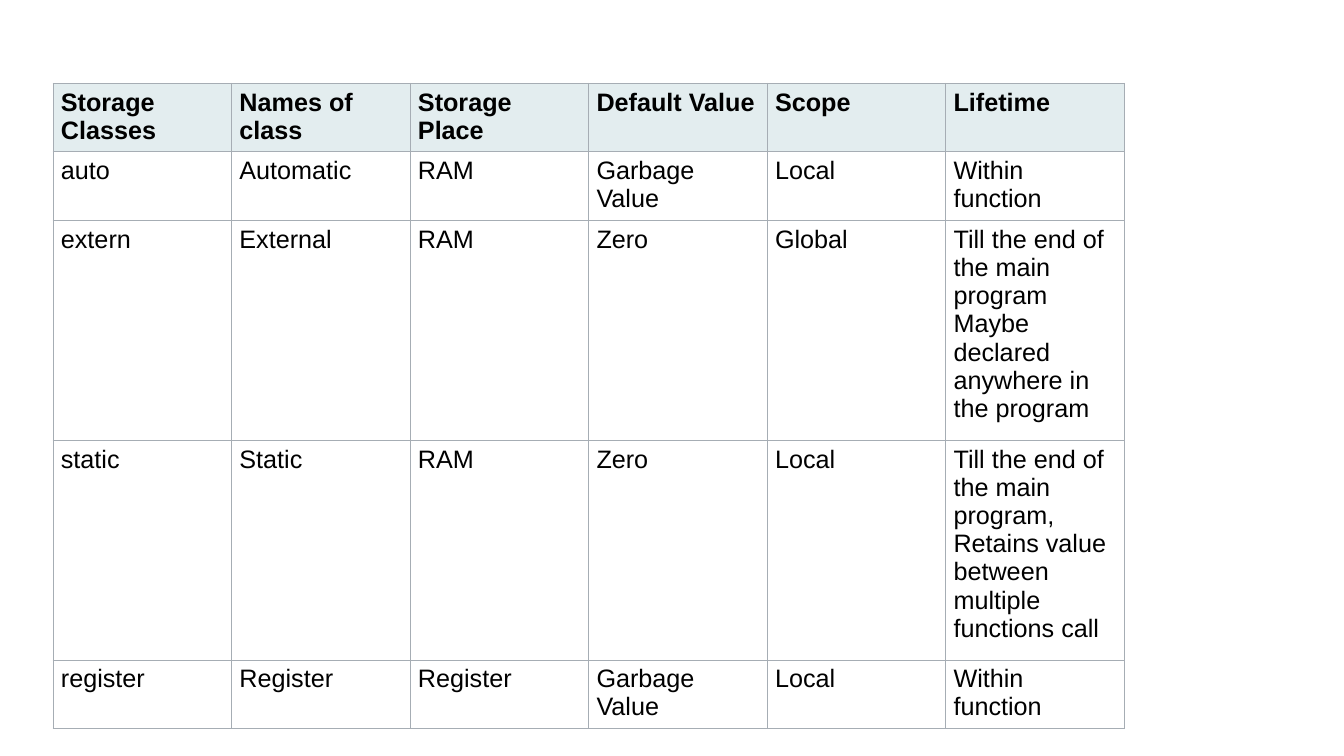
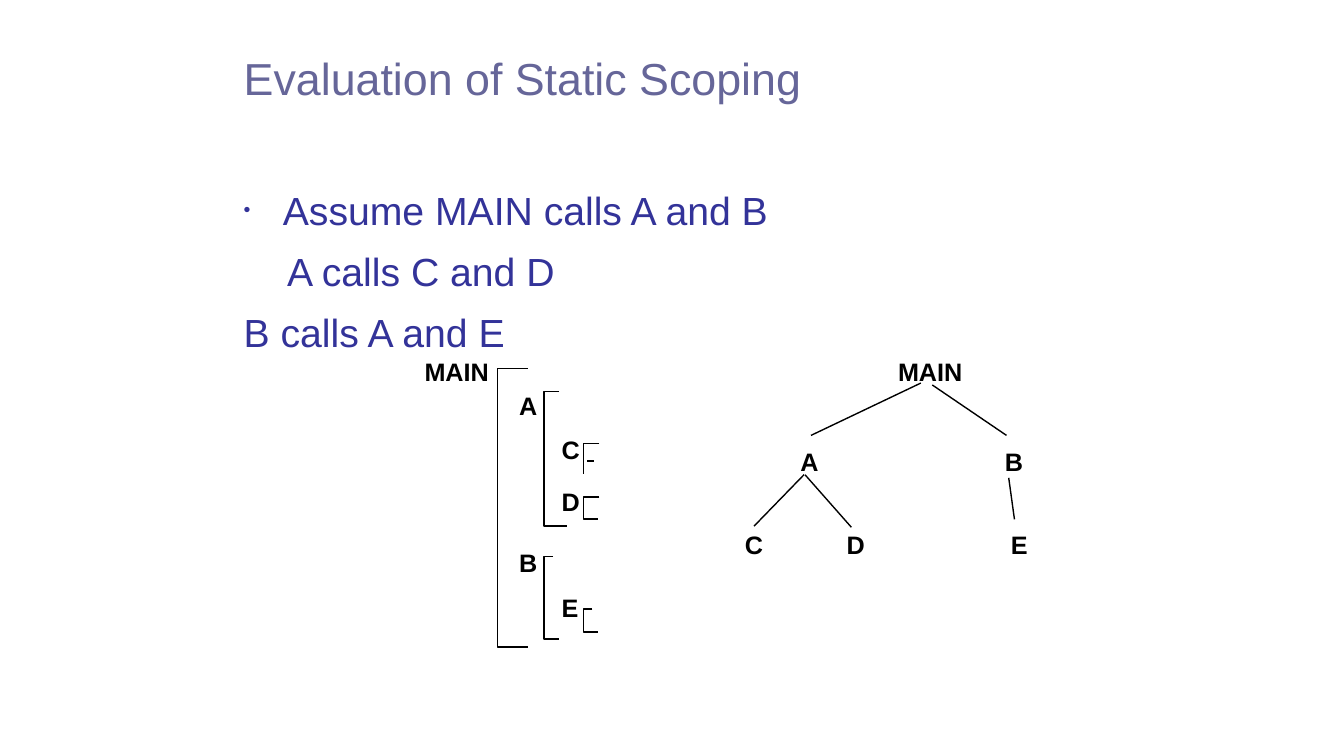
from lxml import etree
from pptx import Presentation
from pptx.dml.color import RGBColor
from pptx.enum.shapes import MSO_CONNECTOR as CONN
from pptx.enum.text import MSO_ANCHOR as ANCHOR, MSO_AUTO_SIZE as AUTO, PP_ALIGN as ALIGN
from pptx.oxml.ns import qn
from pptx.util import Pt

BLACK, WHITE, HEADER, BORDER = "000000", "FFFFFF", "E3EDEF", "A6ADB4"
TITLE_COLOR, BODY_COLOR = "666699", "333399"

STORAGE_ROWS = [
    ["Storage Classes", "Names of class", "Storage Place", "Default Value", "Scope", "Lifetime"],
    ["auto", "Automatic", "RAM", "Garbage Value", "Local", "Within function"],
    ["extern", "External", "RAM", "Zero", "Global",
     "Till the end of the main program Maybe declared anywhere in the program"],
    ["static", "Static", "RAM", "Zero", "Local",
     "Till the end of the main program, Retains value between multiple functions call"],
    ["register", "Register", "Register", "Garbage Value", "Local", "Within function"],
]
ROW_HEIGHTS = [49, 49, 157, 157, 49]

# text, left indent, first-line offset, bullet
CALLS = [
    ("Assume MAIN calls A and B", 28, -28, "•"),
    ("A calls C and D", 31, 0, None),
    ("B calls A and E", 0, 0, None),
]

# name, label left, label top, spine x, top, bottom, top tick end, bottom tick end
SCOPES = [
    ("MAIN", 302.4, 252.7, 355.7, 263, 462.2, 377, 377),
    ("A", 370, 276.5, 388.8, 279.5, 375.8, 399.6, 405.4),
    ("C", 400.3, 308.2, 417, 317, 338.4, 428.4, None),
    ("D", 400.3, 345.6, 417, 355, 370.8, 428.4, 427.7),
    ("B", 370, 388.8, 388.8, 397.4, 456.5, 395.3, 399.6),
    ("E", 400.3, 421.2, 417, 435, 451.4, 423.4, 427.7),
]

TREE_LABELS = [
    ("MAIN", 640.8, 252.7), ("A", 571, 316.8), ("B", 717.1, 316.8),
    ("C", 531.4, 375.8), ("D", 604.1, 375.8), ("E", 721.4, 375.8),
]
BRANCHES = [
    (658.1, 273.6, 579.6, 311), (575.3, 339.1, 608.4, 376.6), (720.9, 341.3, 725, 371),
]


def rgb(value):
    return RGBColor.from_string(value)


def set_attrs(obj, values):
    for name, value in values.items():
        setattr(obj, name, value)


class Deck:
    """Holds the presentation, its text style and the current slide."""

    def __init__(self, width, height):
        self.prs = Presentation()
        set_attrs(self.prs, {"slide_width": Pt(width), "slide_height": Pt(height)})
        self.slide = None

    def new_slide(self, title=None):
        self.slide = self.prs.slides.add_slide(self.prs.slide_layouts[5 if title else 6])
        if title:
            sp = self.slide.shapes.title
            self.place(sp, 174.2, 13.7, 410, 77.8)
            self.frame(sp.text_frame, top=5, anchor=ANCHOR.MIDDLE)
            self.add_text(sp.text_frame.paragraphs[0], title, 32, TITLE_COLOR)

    def place(self, sp, *box):
        set_attrs(sp, dict(zip(("left", "top", "width", "height"), map(Pt, box))))

    def frame(self, tf, left=0, top=0, anchor=ANCHOR.TOP):
        set_attrs(tf, {
            "word_wrap": True, "auto_size": AUTO.NONE, "vertical_anchor": anchor,
            "margin_left": Pt(left), "margin_top": Pt(top),
            "margin_right": 0, "margin_bottom": 0,
        })

    def add_text(self, p, text, size=18, color=BLACK, bold=False):
        p.alignment = ALIGN.LEFT
        r = p.add_run()
        r.text = text
        set_attrs(r.font, {"name": "Arial", "size": Pt(size), "bold": bold})
        r.font.color.rgb = rgb(color)

    def text_box(self, box, left=0, top=0):
        sp = self.slide.shapes.add_textbox(*map(Pt, box))
        self.frame(sp.text_frame, left, top)
        return sp

    def label(self, text, left, top):
        sp = self.text_box((left, top, 51 if len(text) > 1 else 15, 22.3), left=1, top=2)
        self.add_text(sp.text_frame.paragraphs[0], text, bold=True)
        return sp

    def body(self, items, box):
        tf = self.text_box(box, top=4).text_frame
        for i, (text, indent, offset, bullet) in enumerate(items):
            p = tf.add_paragraph() if i else tf.paragraphs[0]
            p.line_spacing = 1.21
            if i:
                p.space_before = Pt(2.9)
            pPr = p._p.get_or_add_pPr()
            pPr.set("marL", str(Pt(indent)))
            pPr.set("indent", str(Pt(offset)))
            if bullet:
                color = etree.SubElement(pPr, qn("a:buClr"))
                etree.SubElement(color, qn("a:srgbClr"), val=BODY_COLOR)
                etree.SubElement(pPr, qn("a:buSzPct"), val="50000")
                etree.SubElement(pPr, qn("a:buFont"), typeface="Arial")
                etree.SubElement(pPr, qn("a:buChar"), char=bullet)
            else:
                etree.SubElement(pPr, qn("a:buNone"))
            self.add_text(p, text, 28, BODY_COLOR)

    def outline(self, sp, width=1):
        sp.line.color.rgb = rgb(BLACK)
        sp.line.width = Pt(width)

    def line(self, x1, y1, x2, y2, width=1, start=None, end=None):
        """Draw a line; start joins a label's bottom, end joins a label's top."""
        cx = self.slide.shapes.add_connector(CONN.STRAIGHT, *map(Pt, (x1, y1, x2, y2)))
        self.outline(cx, width)
        etree.SubElement(cx._element.spPr, qn("a:effectLst"))
        if start is not None:
            cx.begin_connect(start, 2)
        if end is not None:
            cx.end_connect(end, 0)

    def bracket(self, x, top, bottom, top_end, bottom_end):
        points = [(top_end, top), (x, top), (x, bottom)]
        if bottom_end:
            points.append((bottom_end, bottom))
        first, *rest = [(Pt(px), Pt(py)) for px, py in points]
        builder = self.slide.shapes.build_freeform(*first)
        builder.add_line_segments(rest, close=False)
        sp = builder.convert_to_shape()
        sp.shadow.inherit = False
        sp.fill.background()
        self.outline(sp)

    def border(self, cell):
        tcPr = cell._tc.get_or_add_tcPr()
        for i, side in enumerate(("lnL", "lnR", "lnT", "lnB")):
            ln = etree.Element(qn(f"a:{side}"), w=str(Pt(0.45)))
            fill = etree.SubElement(ln, qn("a:solidFill"))
            etree.SubElement(fill, qn("a:srgbClr"), val=BORDER)
            tcPr.insert(i, ln)

    def table(self, rows, left, top, col_width, heights):
        cols = len(rows[0])
        box = (left, top, col_width * cols, sum(heights))
        tbl = self.slide.shapes.add_table(len(rows), cols, *map(Pt, box)).table
        for col in tbl.columns:
            col.width = Pt(col_width)
        for i, (row, height) in enumerate(zip(rows, heights)):
            tbl.rows[i].height = Pt(height)
            for j, text in enumerate(row):
                cell = tbl.cell(i, j)
                set_attrs(cell, {
                    "margin_left": Pt(5.76), "margin_right": Pt(5.76),
                    "margin_top": Pt(3.6), "margin_bottom": Pt(3.6),
                })
                cell.fill.solid()
                cell.fill.fore_color.rgb = rgb(WHITE if i else HEADER)
                self.border(cell)
                self.add_text(cell.text_frame.paragraphs[0], text, bold=i == 0)


def main():
    deck = Deck(960.48, 540)

    deck.new_slide()
    deck.table(STORAGE_ROWS, 37.8, 59.4, 127.6, ROW_HEIGHTS)

    deck.new_slide("Evaluation of Static Scoping")
    deck.body(CALLS, (174.2, 121.7, 378.7, 123))
    for name, left, top, *bracket in SCOPES:
        deck.label(name, left, top)
        deck.bracket(*bracket)
    deck.line(419.8, 329.6, 424.8, 329.6, width=1.5)

    nodes = [deck.label(*item) for item in TREE_LABELS]
    root, leaf_c = nodes[0], nodes[3]
    for branch in BRANCHES:
        deck.line(*branch)
    deck.line(664.6, 275, 719.3, 311, start=root)
    deck.line(574.6, 339.1, 540, 376.6, end=leaf_c)

    deck.prs.save("out.pptx")


if __name__ == "__main__":
    main()
